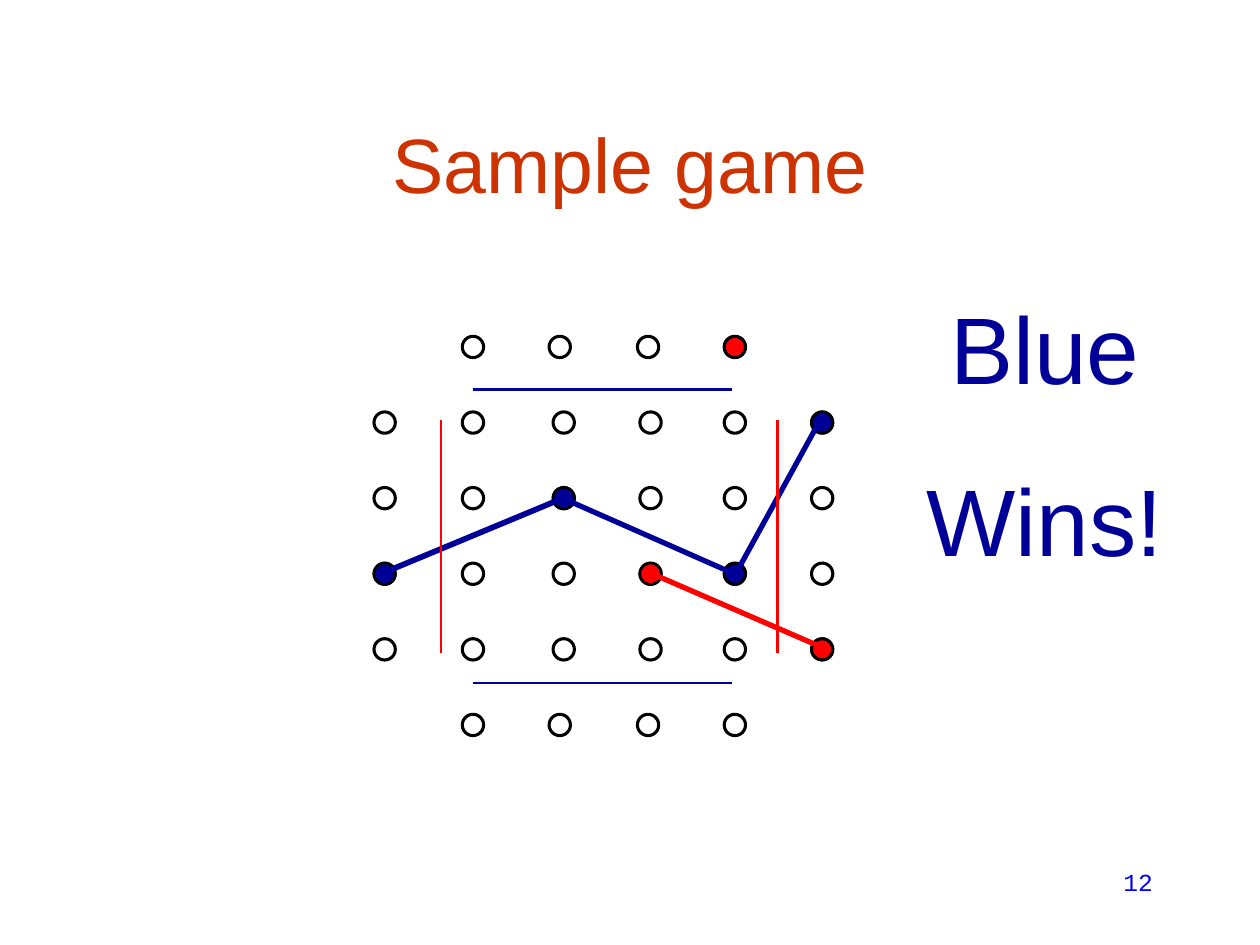
from typing import NamedTuple

from lxml.etree import SubElement
from pptx import Presentation
from pptx.dml.color import RGBColor
from pptx.enum.shapes import MSO_CONNECTOR as Connector, MSO_SHAPE as Shape
from pptx.enum.text import MSO_ANCHOR as Anchor, PP_ALIGN as Align
from pptx.oxml.ns import qn
from pptx.util import Cm, Pt

BLUE = "000099"
RED = "FF0000"
BLACK = "000000"

PEG_SIZE = 0.43
COLUMNS = [7.54, 9.32, 11.15, 12.9, 14.6, 16.36]
EDGE_COLUMNS = [7.54, 9.32, 11.07, 12.85, 14.6, 16.36]
FIRST_ROW, ROW_STEP, ROW_COUNT = 6.78, 1.524, 6


class Peg(NamedTuple):
    column: int
    row: int
    color: str


class Line(NamedTuple):
    x1: float
    y1: float
    x2: float
    y2: float
    color: str
    width: float


class Label(NamedTuple):
    text: str
    left: float
    top: float
    width: float
    height: float
    size: float
    color: str
    font: str = "Arial"
    align: Align = Align.CENTER
    anchor: Anchor = Anchor.TOP
    space_before: float = 0


EARLY_PEGS = [Peg(5, 1, BLUE), Peg(5, 4, RED), Peg(4, 3, BLUE), Peg(4, 0, RED)]
LATE_PEGS = [Peg(2, 2, BLUE), Peg(0, 3, BLUE), Peg(3, 3, RED)]

LINKS = [
    Line(7.77, 11.53, 11.38, 10.03, BLUE, 3.25),
    Line(11.38, 10.06, 14.83, 11.58, BLUE, 3),
    Line(13.18, 11.58, 16.64, 13.08, RED, 3),
    Line(14.78, 11.66, 16.61, 8.33, BLUE, 3),
]
BORDERS = [Line(x, 13.16, x, 8.46, RED, 1.5) for x in (15.67, 8.89)] + [
    Line(14.76, y, 9.53, y, BLUE, 1.5) for y in (7.85, 13.77)
]

TITLE = Label("Sample game", 1.9, 1.7, 21.6, 3.18, 44, "CC3300", anchor=Anchor.MIDDLE)
RESULT = Label("Blue\nWins!", 18.42, 5.72, 5.28, 6.02, 54, BLUE, space_before=33.8)
PAGE_NUMBER = Label("12", 18.21, 17.35, 5.28, 1.27, 14, "0000FF", "Courier New", Align.RIGHT)


def rgb(color: str) -> RGBColor:
    return RGBColor.from_string(color)


def add_circle(slide, column: int, row: int, line_width: float, color: str = "") -> None:
    columns = EDGE_COLUMNS if row in (0, ROW_COUNT - 1) else COLUMNS
    shape = slide.shapes.add_shape(
        Shape.OVAL, Cm(columns[column]), Cm(FIRST_ROW + row * ROW_STEP), Cm(PEG_SIZE), Cm(PEG_SIZE)
    )
    shape.shadow.inherit = False
    if color:
        shape.fill.solid()
        shape.fill.fore_color.rgb = rgb(color)
    else:
        shape.fill.background()
    shape.line.color.rgb = rgb(BLACK)
    shape.line.width = Pt(line_width)


def add_pegs(slide, pegs: list[Peg]) -> None:
    for peg in pegs:
        add_circle(slide, peg.column, peg.row, 1.5, peg.color)


def add_holes(slide) -> None:
    for row in range(ROW_COUNT):
        is_edge = row in (0, ROW_COUNT - 1)
        for column in range(1, 5) if is_edge else range(6):
            add_circle(slide, column, row, 1.75)


def add_line(slide, line: Line) -> None:
    connector = slide.shapes.add_connector(
        Connector.STRAIGHT, Cm(line.x1), Cm(line.y1), Cm(line.x2), Cm(line.y2)
    )
    connector.line.color.rgb = rgb(line.color)
    connector.line.width = Pt(line.width)
    SubElement(connector._element.spPr, qn("a:effectLst"))


def add_label(slide, label: Label) -> None:
    box = slide.shapes.add_textbox(
        Cm(label.left), Cm(label.top), Cm(label.width), Cm(label.height)
    )
    text_frame = box.text_frame
    text_frame.word_wrap = True
    text_frame.vertical_anchor = label.anchor
    text_frame.text = label.text
    for paragraph in text_frame.paragraphs:
        paragraph.alignment = label.align
        paragraph.space_before = Pt(label.space_before)
        for run in paragraph.runs:
            run.font.name = label.font
            run.font.size = Pt(label.size)
            run.font.color.rgb = rgb(label.color)


def main() -> None:
    presentation = Presentation()
    presentation.slide_width = Cm(25.4)
    presentation.slide_height = Cm(19.05)
    slide = presentation.slides.add_slide(presentation.slide_layouts[6])

    add_label(slide, TITLE)
    add_pegs(slide, EARLY_PEGS)
    add_holes(slide)
    add_pegs(slide, LATE_PEGS)
    for link in LINKS:
        add_line(slide, link)
    add_label(slide, RESULT)
    for border in BORDERS:
        add_line(slide, border)
    add_label(slide, PAGE_NUMBER)

    presentation.save("out.pptx")


if __name__ == "__main__":
    main()
